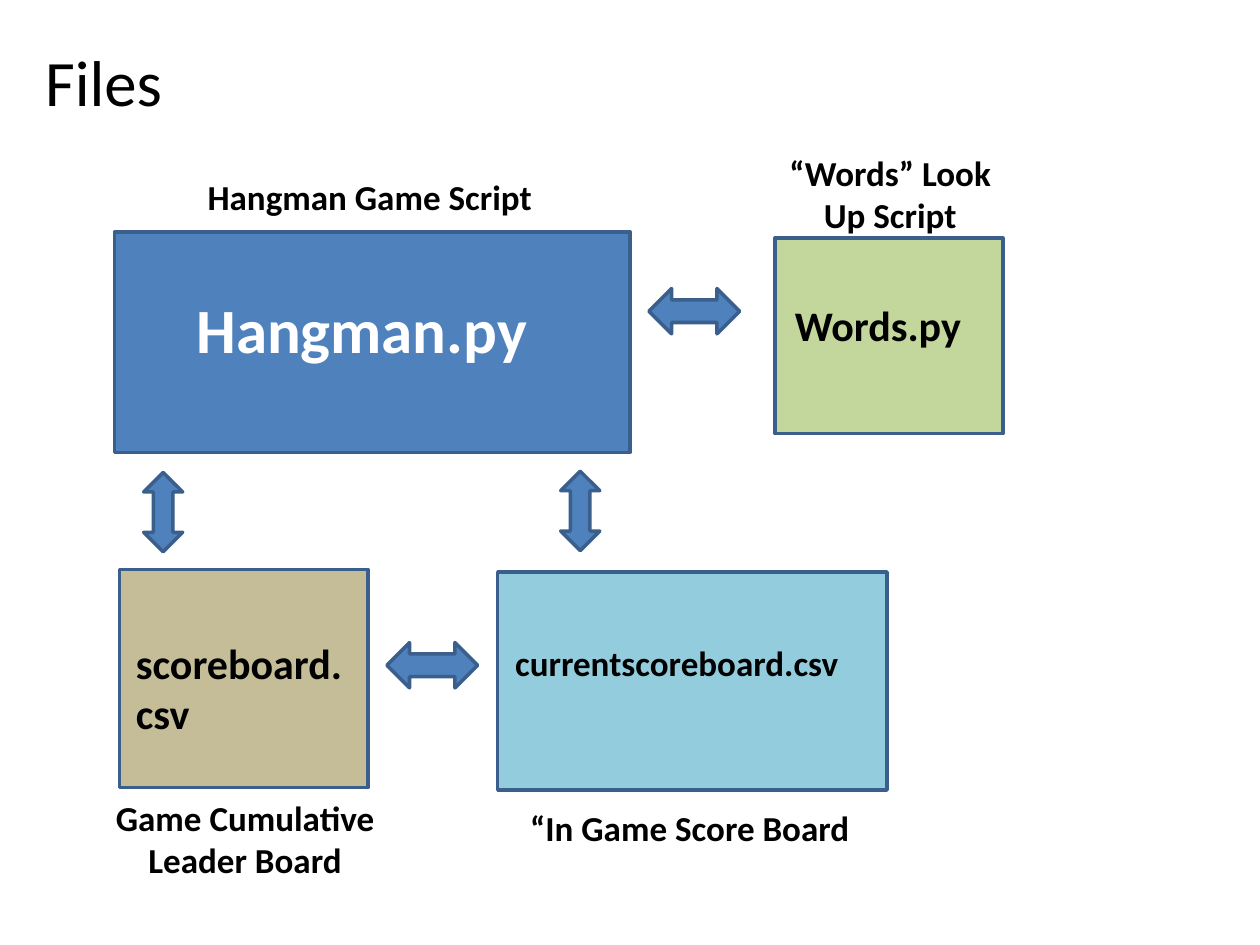
from dataclasses import dataclass

from pptx import Presentation
from pptx.dml.color import RGBColor
from pptx.enum.shapes import MSO_SHAPE as Shape
from pptx.enum.text import MSO_ANCHOR as Anchor, PP_ALIGN as Align
from pptx.util import Inches, Pt

# Grid: 10 columns by 7.5 rows over the whole slide
WIDTH, HEIGHT = Inches(10), Inches(7.5)
COLUMN, ROW = WIDTH / 10, HEIGHT / 7.5
BLUE, OUTLINE = "4F81BD", "3A5F8C"
BLACK, WHITE = "000000", "FFFFFF"


@dataclass
class Area:
    column: float
    row: float
    columns: float
    rows: float

    def place(self) -> tuple:
        return (round(self.column * COLUMN), round(self.row * ROW),
                round(self.columns * COLUMN), round(self.rows * ROW))


@dataclass
class Label:
    area: Area
    lines: list
    size: int = 20
    color: str = BLACK
    bold: bool = True
    align: Align = Align.CENTER
    anchor: Anchor = Anchor.TOP


@dataclass
class FileBox:
    area: Area
    fill: str
    name: Label
    caption: Label


@dataclass
class Arrow:
    area: Area
    rotation: int = 0


def rgb(value: str) -> RGBColor:
    return RGBColor.from_string(value)


def draw_shape(page, kind: Shape, area: Area, fill: str, rotation: int = 0) -> None:
    shape = page.shapes.add_shape(kind, *area.place())
    shape.rotation = rotation
    shape.shadow.inherit = False
    shape.fill.solid()
    shape.fill.fore_color.rgb = rgb(fill)
    shape.line.color.rgb = rgb(OUTLINE)
    shape.line.width = Pt(2)


def draw_label(page, label: Label) -> None:
    frame = page.shapes.add_textbox(*label.area.place()).text_frame
    frame.word_wrap = True
    frame.vertical_anchor = label.anchor
    font_format = {"name": "Calibri", "size": Pt(label.size), "bold": label.bold}
    for index, line in enumerate(label.lines):
        para = frame.add_paragraph() if index else frame.paragraphs[0]
        para.alignment = label.align
        span = para.add_run()
        span.text = line
        for key, value in font_format.items():
            setattr(span.font, key, value)
        span.font.color.rgb = rgb(label.color)


def draw_file_box(page, box: FileBox) -> None:
    draw_shape(page, Shape.FLOWCHART_PROCESS, box.area, box.fill)
    draw_label(page, box.name)
    draw_label(page, box.caption)


def file_name(area: Area, text: str, size: int, color: str = BLACK) -> Label:
    return Label(area, [text], size, color, align=Align.LEFT)


TITLE = Label(Area(0.26, 0.3, 9, 0.68), ["Files"], 37, bold=False,
              align=Align.LEFT, anchor=Anchor.MIDDLE)

FILE_BOXES = [
    FileBox(Area(0.91, 1.84, 4.09, 1.75), BLUE,
            file_name(Area(1.46, 2.26, 2.99, 0.71), "Hangman.py", 36, WHITE),
            Label(Area(1.1, 1.34, 3.67, 0.44), ["Hangman Game Script"])),
    FileBox(Area(6.15, 1.89, 1.81, 1.55), "C3D69B",
            file_name(Area(6.21, 2.33, 1.68, 0.5), "Words.py", 24),
            Label(Area(5.87, 1.15, 2.39, 0.77), ["“Words” Look", "Up Script"])),
    FileBox(Area(0.95, 4.52, 1.97, 1.73), "C4BD97",
            file_name(Area(0.98, 5.01, 1.93, 0.91), "scoreboard.csv", 24),
            Label(Area(0.45, 6.27, 2.99, 0.77), ["Game Cumulative Leader Board"])),
    FileBox(Area(3.95, 4.54, 3.09, 1.73), "93CDDD",
            file_name(Area(3.99, 5.04, 3.03, 0.44), "currentscoreboard.csv", 20),
            Label(Area(3.98, 6.35, 2.99, 0.44), ["“In Game Score Board"])),
]

ARROWS = [
    Arrow(Area(1.14, 3.75, 0.31, 0.63)),
    Arrow(Area(4.45, 3.74, 0.31, 0.63)),
    Arrow(Area(3.25, 4.92, 0.36, 0.72), 90),
    Arrow(Area(5.33, 2.11, 0.36, 0.72), 90),
]


def main() -> None:
    deck = Presentation()
    deck.slide_width, deck.slide_height = WIDTH, HEIGHT
    page = deck.slides.add_slide(deck.slide_layouts[6])

    # Title
    draw_label(page, TITLE)
    # Files with their names and captions
    for box in FILE_BOXES:
        draw_file_box(page, box)
    # Links between the files
    for arrow in ARROWS:
        draw_shape(page, Shape.UP_DOWN_ARROW, arrow.area, BLUE, arrow.rotation)

    deck.save("out.pptx")


if __name__ == "__main__":
    main()
